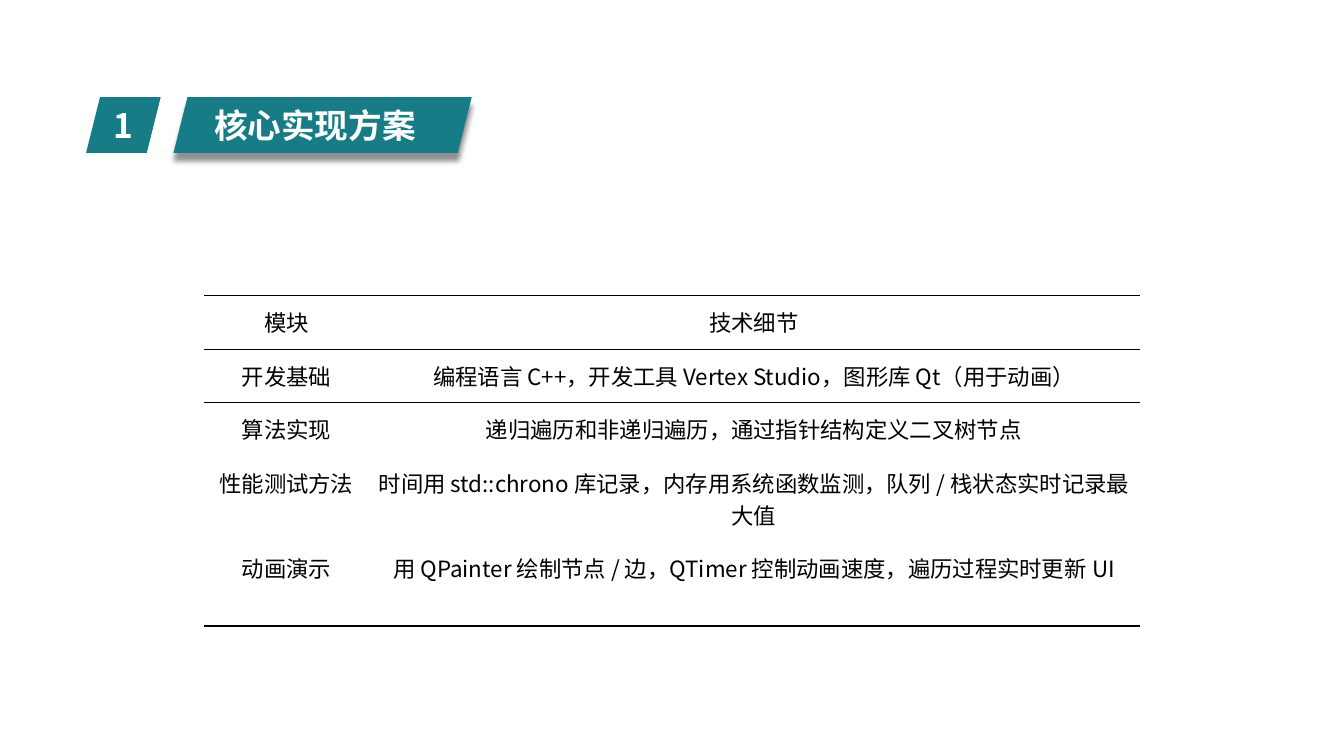
from lxml import etree
from pptx import Presentation
from pptx import util as u
from pptx.dml.color import RGBColor
from pptx.enum import shapes, text
from pptx.oxml import parse_xml
from pptx.oxml.ns import nsdecls, qn

FONT = "Noto Sans CJK SC"
TEAL, WHITE, BLACK = "187C86", "FFFFFF", "000000"


def rgb(value):
    return RGBColor.from_string(value)


def write(frame, words, align, color, **formats):
    para = frame.paragraphs[0]
    para.alignment = align
    span = para.add_run()
    span.text = words
    span.font.color.rgb = rgb(color)
    for name, value in {"name": FONT, **formats}.items():
        setattr(span.font, name, value)
    etree.SubElement(span.font._element, qn("a:ea")).set("typeface", FONT)


deck = Presentation()
deck.slide_width, deck.slide_height = u.Pt(960), u.Pt(540)
page = deck.slides.add_slide(deck.slide_layouts[6])

banners = [
    (61.5, 53.3, "1", text.PP_ALIGN.CENTER),
    (124, 213, "核心实现方案", text.PP_ALIGN.LEFT),
]
for left, width, words, align in banners:
    banner = page.shapes.add_shape(
        shapes.MSO_SHAPE.PARALLELOGRAM, u.Pt(left), u.Pt(69.4), u.Pt(width), u.Pt(39.8)
    )
    banner.shadow.inherit = False
    banner.fill.solid()
    banner.fill.fore_color.rgb = rgb(TEAL)
    banner.line.fill.background()
    banner.text_frame.vertical_anchor = text.MSO_ANCHOR.MIDDLE
    write(banner.text_frame, words, align, WHITE, size=u.Pt(24), bold=True)

banner._element.spPr.find(qn("a:effectLst")).append(parse_xml(
    f'<a:outerShdw {nsdecls("a")} blurRad="{u.Pt(4)}" dist="{u.Pt(6)}" dir="5400000" '
    f'algn="t" rotWithShape="0"><a:srgbClr val="{BLACK}"><a:alpha val="43000"/>'
    '</a:srgbClr></a:outerShdw>'
))

modules = [
    ("模块", "技术细节"),
    ("开发基础", "编程语言 C++，开发工具 Vertex Studio，图形库 Qt（用于动画）"),
    ("算法实现", "递归遍历和非递归遍历，通过指针结构定义二叉树节点"),
    ("性能测试方法", "时间用 std::chrono 库记录，内存用系统函数监测，队列 / 栈状态实时记录最大值"),
    ("动画演示", "用 QPainter 绘制节点 / 边，QTimer 控制动画速度，遍历过程实时更新 UI"),
]
borders = {
    0: {"T": 1, "B": 0.75},
    1: {"T": 0.75, "B": 0.75},
    2: {"T": 0.75},
    4: {"B": 1},
}
row_height = 38.4
frame = page.shapes.add_table(
    len(modules), 2, u.Pt(146), u.Pt(211), u.Pt(668), u.Pt(row_height * len(modules))
)
table = frame.table
table.first_row = table.horz_banding = False
for column, width in zip(table.columns, (117.2, 550.8)):
    column.width = u.Pt(width)

for row, entries in enumerate(modules):
    table.rows[row].height = u.Pt(row_height)
    for column, words in enumerate(entries):
        cell = table.cell(row, column)
        for side in ("left", "top", "right", "bottom"):
            setattr(cell, f"margin_{side}", u.Pt(7.2))
        write(cell.text_frame, words, text.PP_ALIGN.CENTER, BLACK, size=u.Pt(16))
        properties = cell._tc.get_or_add_tcPr()
        for side in "LRTB":
            weight = borders.get(row, {}).get(side, 0)
            paint = f'<a:solidFill><a:srgbClr val="{BLACK}"/></a:solidFill>' if weight else "<a:noFill/>"
            properties.append(parse_xml(
                f'<a:ln{side} {nsdecls("a")} w="{u.Pt(weight)}">{paint}</a:ln{side}>'
            ))
        cell.fill.background()

deck.save("out.pptx")
